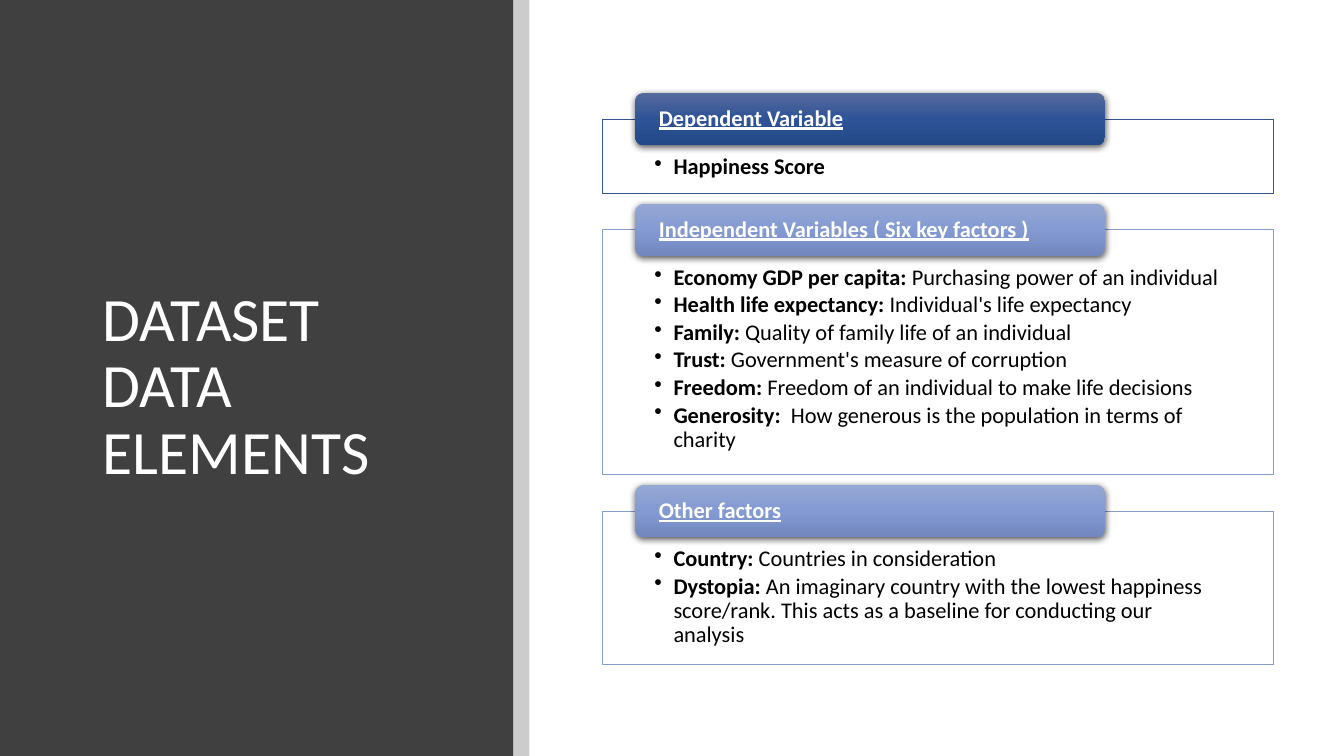
from lxml import etree
from pptx import Presentation
from pptx.dml.color import RGBColor
from pptx.enum.shapes import MSO_SHAPE
from pptx.enum.text import MSO_ANCHOR, MSO_AUTO_SIZE, PP_ALIGN
from pptx.oxml.ns import qn
from pptx.util import Inches, Pt

RECTANGLE = MSO_SHAPE.RECTANGLE
ROUNDED = MSO_SHAPE.ROUNDED_RECTANGLE
TOP, MIDDLE = MSO_ANCHOR.TOP, MSO_ANCHOR.MIDDLE
LEFT = PP_ALIGN.LEFT
NO_AUTOFIT = MSO_AUTO_SIZE.NONE

FONT = "Calibri"
BLACK = RGBColor(0x00, 0x00, 0x00)
WHITE = RGBColor(0xFF, 0xFF, 0xFF)
CHARCOAL = RGBColor(0x40, 0x40, 0x40)
NAVY = RGBColor(0x32, 0x54, 0x91)
PERIWINKLE = RGBColor(0x87, 0x9B, 0xCE)
NAVY_GRADIENT = (RGBColor(0x56, 0x6B, 0x9E), RGBColor(0x2E, 0x53, 0x96),
                 RGBColor(0x24, 0x49, 0x89))
PERIWINKLE_GRADIENT = (RGBColor(0x95, 0xA7, 0xD4), RGBColor(0x84, 0x9A, 0xD2),
                       RGBColor(0x71, 0x87, 0xBE))

FRAMES_TOP = 1.18
FRAME_GAP = 0.36
HEADER_RISE = 0.26

# Heading, frame height, outline, header gradient, (term, meaning) pairs
SECTIONS = [
    ("Dependent Variable", 0.74, NAVY, NAVY_GRADIENT,
     [("Happiness Score", "")]),
    ("Independent Variables ( Six key factors )", 2.43, PERIWINKLE,
     PERIWINKLE_GRADIENT,
     [("Economy GDP per capita: ", "Purchasing power of an individual"),
      ("Health life expectancy: ", "Individual's life expectancy"),
      ("Family: ", "Quality of family life of an individual"),
      ("Trust: ", "Government's measure of corruption"),
      ("Freedom: ", "Freedom of an individual to make life decisions"),
      ("Generosity:  ", "How generous is the population in terms of charity")]),
    ("Other factors", 1.52, PERIWINKLE, PERIWINKLE_GRADIENT,
     [("Country: ", "Countries in consideration"),
      ("Dystopia: ", "An imaginary country with the lowest happiness "
                     "score/rank. This acts as a baseline for conducting "
                     "our analysis")]),
]


def add_color(parent, color, opacity=100):
    node = etree.SubElement(parent, qn("a:srgbClr"), val=str(color))
    if opacity < 100:
        etree.SubElement(node, qn("a:alpha"), val=str(opacity * 1000))


def add_block(slide, kind, box, fill=None, opacity=100, outline=None):
    block = slide.shapes.add_shape(kind, *(Inches(side) for side in box))
    block.shadow.inherit = False
    if fill is not None:
        block.fill.solid()
        block.fill.fore_color.rgb = fill
        color = block.element.spPr.find(qn("a:solidFill"))[0]
        etree.SubElement(color, qn("a:alpha"), val=str(opacity * 1000))
    if outline is None:
        block.line.fill.background()
    else:
        block.line.color.rgb = outline
        block.line.width = Pt(0.5)
    return block


def fill_downwards(block, colors):
    """Fill the block with an evenly spaced gradient from top to bottom."""
    gradient = etree.Element(qn("a:gradFill"), rotWithShape="1")
    stops = etree.SubElement(gradient, qn("a:gsLst"))
    for index, color in enumerate(colors):
        position = 100000 * index // (len(colors) - 1)
        add_color(etree.SubElement(stops, qn("a:gs"), pos=str(position)), color)
    etree.SubElement(gradient, qn("a:lin"), ang="5400000", scaled="0")
    block.element.spPr.find(qn("a:prstGeom")).addnext(gradient)


def drop_shadow(block):
    effects = block.element.spPr.find(qn("a:effectLst"))
    shadow = etree.SubElement(
        effects, qn("a:outerShdw"), blurRad=str(Pt(4.5)), dist=str(Pt(1.5)),
        dir="5400000", algn="ctr", rotWithShape="0")
    add_color(shadow, BLACK, 63)


def set_margins(frame, left, top, right, bottom, anchor):
    frame.margin_left, frame.margin_top = Inches(left), Inches(top)
    frame.margin_right, frame.margin_bottom = Inches(right), Inches(bottom)
    frame.vertical_anchor = anchor
    frame.word_wrap = True
    frame.auto_size = NO_AUTOFIT


def add_text(paragraph, text, size=16, color=BLACK, bold=False, underline=False):
    paragraph.alignment = LEFT
    paragraph.line_spacing = 0.9
    for index, line in enumerate(text.split("\n")):
        if index:
            paragraph.add_line_break()
        run = paragraph.add_run()
        run.text = line
        font = run.font
        font.name, font.size, font.color.rgb = FONT, Pt(size), color
        font.bold, font.underline = bold, underline


def make_bullet(paragraph):
    properties = paragraph._p.get_or_add_pPr()
    properties.set("marL", str(Inches(0.19)))
    properties.set("indent", str(-Inches(0.19)))
    etree.SubElement(properties, qn("a:buChar"), char="•")
    paragraph.space_after = Pt(2.4)


def add_section(slide, top, heading, height, outline, gradient, entries):
    panel = add_block(slide, RECTANGLE, (5.97, top, 6.66, height),
                      fill=WHITE, opacity=90, outline=outline)
    body = panel.text_frame
    set_margins(body, 0.52, 0.36, 0.52, 0.12, TOP)
    for index, (term, meaning) in enumerate(entries):
        entry = body.add_paragraph() if index else body.paragraphs[0]
        make_bullet(entry)
        add_text(entry, term, bold=True)
        if meaning:
            add_text(entry, meaning)

    header = add_block(slide, ROUNDED, (6.3, top - HEADER_RISE, 4.66, 0.52))
    fill_downwards(header, gradient)
    drop_shadow(header)
    set_margins(header.text_frame, 0.21, 0, 0.21, 0, MIDDLE)
    add_text(header.text_frame.paragraphs[0], heading,
             color=WHITE, bold=True, underline=True)


def add_title(slide, text):
    title = slide.shapes.title
    slide.shapes.element.append(title.element)  # bring in front of the panel
    title.left, title.top = Inches(0.92), Inches(0.89)
    title.width, title.height = Inches(3.65), Inches(5.91)
    set_margins(title.text_frame, 0.1, 0.05, 0.1, 0.05, MIDDLE)
    add_text(title.text_frame.paragraphs[0], text, size=44, color=WHITE)


def main():
    deck = Presentation()
    deck.slide_width, deck.slide_height = Inches(13.33), Inches(7.5)
    slide = deck.slides.add_slide(deck.slide_layouts.get_by_name("Title Only"))
    add_block(slide, RECTANGLE, (0, 0, 5.09, 7.5), fill=CHARCOAL)
    add_block(slide, RECTANGLE, (5.09, 0, 0.16, 7.5), fill=BLACK, opacity=20)
    add_title(slide, "DATASET\nDATA ELEMENTS")
    top = FRAMES_TOP
    for heading, height, outline, gradient, entries in SECTIONS:
        add_section(slide, top, heading, height, outline, gradient, entries)
        top += height + FRAME_GAP
    deck.save("out.pptx")


if __name__ == "__main__":
    main()
